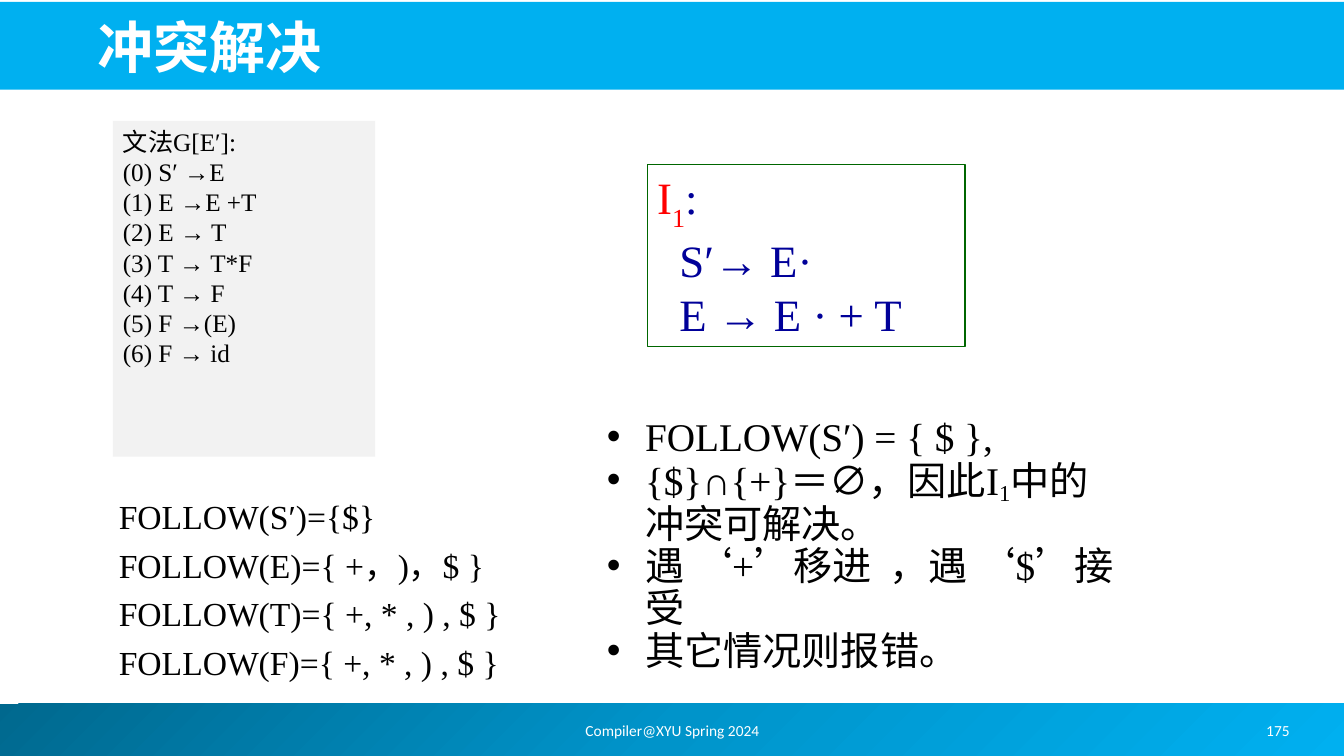
import pptx
import pptx.dml.color
import pptx.enum.lang
import pptx.enum.shapes
import pptx.enum.text
import pptx.oxml
import pptx.oxml.ns
import pptx.util

Inches = pptx.util.Inches
Pt = pptx.util.Pt
ALIGN = pptx.enum.text.PP_ALIGN
ANCHOR = pptx.enum.text.MSO_ANCHOR


def color(hex_value):
    return pptx.dml.color.RGBColor.from_string(hex_value)


def apply(target, values):
    for name, value in values.items():
        setattr(target, name, value)


class Board:
    latin = "Times New Roman"
    east_asian = "Noto Sans CJK JP"
    ink = "000000"

    def __init__(self, slide):
        self.slide = slide

    def panel(self, box, fill=None, line=None):
        shape = self.slide.shapes.add_shape(
            pptx.enum.shapes.MSO_SHAPE.RECTANGLE, *map(Inches, box))
        shape.shadow.inherit = False
        if fill:
            shape.fill.solid()
            shape.fill.fore_color.rgb = color(fill)
        else:
            shape.fill.background()
        if line:
            shape.line.color.rgb = color(line)
            shape.line.width = Pt(1)
        else:
            shape.line.fill.background()
        return shape

    def gradient_band(self, box, stops, angle):
        band = self.panel(box)
        marks = "".join(
            f'<a:gs pos="{position * 1000}"><a:srgbClr val="{value}"/></a:gs>'
            for position, value in stops)
        gradient = pptx.oxml.parse_xml(
            f'<a:gradFill {pptx.oxml.ns.nsdecls("a")}><a:gsLst>{marks}</a:gsLst>'
            f'<a:lin ang="{angle * 60000}" scaled="0"/></a:gradFill>')
        properties = band._element.spPr
        properties.replace(properties.find(pptx.oxml.ns.qn("a:noFill")), gradient)

    def label(self, box, lines, size, **options):
        holder = self.slide.shapes.add_textbox(*map(Inches, box))
        self.set_lines(holder, lines, size, **options)

    def set_lines(self, holder, lines, size, anchor=ANCHOR.TOP, paragraph=None,
                  hanging=0, bullet=None, **font):
        frame = holder.text_frame
        apply(frame, {"word_wrap": True, "vertical_anchor": anchor,
                      "auto_size": pptx.enum.text.MSO_AUTO_SIZE.NONE})
        for index, line in enumerate(lines):
            row = frame.add_paragraph() if index else frame.paragraphs[0]
            apply(row, {"alignment": ALIGN.LEFT, **(paragraph or {})})
            if hanging:
                self.indent(row, hanging, -hanging, bullet)
            for piece in [line] if isinstance(line, str) else line:
                text, changes = (piece, {}) if isinstance(piece, str) else piece
                self.add_piece(row, text, size, {**font, **changes})

    def indent(self, row, left, first, bullet=None):
        properties = row._p.get_or_add_pPr()
        properties.set("marL", str(Inches(left)))
        properties.set("indent", str(Inches(first)))
        if bullet:
            for tag, key, value in (("buFont", "typeface", "Arial"),
                                    ("buChar", "char", bullet)):
                properties.append(pptx.oxml.parse_xml(
                    f'<a:{tag} {pptx.oxml.ns.nsdecls("a")} {key}="{value}"/>'))

    def add_piece(self, row, text, size, style):
        piece = row.add_run()
        piece.text = text
        apply(piece.font, {
            "size": Pt(size), "name": style.get("name", self.latin),
            "bold": style.get("bold", False),
            "language_id": pptx.enum.lang.MSO_LANGUAGE_ID.SIMPLIFIED_CHINESE})
        piece.font.color.rgb = color(style.get("ink", self.ink))
        properties = piece._r.get_or_add_rPr()
        if "baseline" in style:
            properties.set("baseline", str(style["baseline"] * 1000))
        properties.append(pptx.oxml.parse_xml(
            f'<a:ea {pptx.oxml.ns.nsdecls("a")} typeface="{self.east_asian}"/>'))


def main():
    deck = pptx.Presentation()
    apply(deck, {"slide_width": Inches(13.33), "slide_height": Inches(7.5)})
    board = Board(deck.slides.add_slide(deck.slide_layouts[6]))

    board.gradient_band((-0.05, 6.98, 13.39, 0.52),
                        [(0, "00688E"), (50, "0094CA"), (100, "00B0F0")], 45)
    board.panel((-0.02, 0.02, 13.36, 0.87), fill="00B0F0")
    board.label((0.87, 0.05, 12.06, 0.79), ["冲突解决"], 40, anchor=ANCHOR.BOTTOM,
                name=board.east_asian, bold=True, ink="FFFFFF")

    follow_sets = {"S′": "{$}", "E": "{ +，)，$ }",
                   "T": "{ +, * , ) , $ }", "F": "{ +, * , ) , $ }"}
    board.label((1.08, 4.87, 4.25, 2),
                [f"FOLLOW({symbol})={members}" for symbol, members in follow_sets.items()],
                24, paragraph={"space_before": Pt(6)}, hanging=0.21)

    productions = ["S′ →E", "E →E +T", "E → T", "T → T*F", "T → F", "F →(E)", "F → id"]
    grammar = board.panel((1.12, 1.2, 2.6, 3.33), fill="F2F2F2")
    board.set_lines(grammar, ["文法G[E′]:"] + [
        f"({number}) {production}" for number, production in enumerate(productions)], 18)

    red = {"ink": "FF0000"}
    item_set = board.panel((6.42, 1.63, 3.15, 1.81), line="006600")
    board.set_lines(item_set, [[("I", red), ("1", {**red, "baseline": -30}), ":"],
                               "S′→ E·", "E → E · + T"], 32, ink="000099")
    for item in item_set.text_frame.paragraphs[1:]:
        board.indent(item, 0.22, 0)

    board.label((5.92, 4.09, 5.25, 2.22),
                ["FOLLOW(S′) = { $ },",
                 ["{$}∩{+}＝∅，因此I", ("1", {"baseline": -15}), "中的冲突可解决。"],
                 "遇 ‘+’移进  ，遇 ‘$’接受",
                 "其它情况则报错。"],
                28, paragraph={"line_spacing": 0.9}, hanging=0.38, bullet="•")

    for left, width, footer in ((4.56, 4.22, "Compiler@XYU Spring 2024"),
                                (12.19, 0.97, "175")):
        board.label((left, 7, width, 0.5), [footer], 11, anchor=ANCHOR.MIDDLE,
                    paragraph={"alignment": ALIGN.CENTER}, name="Calibri", ink="FFFFFF")

    deck.save("out.pptx")


if __name__ == "__main__":
    main()
